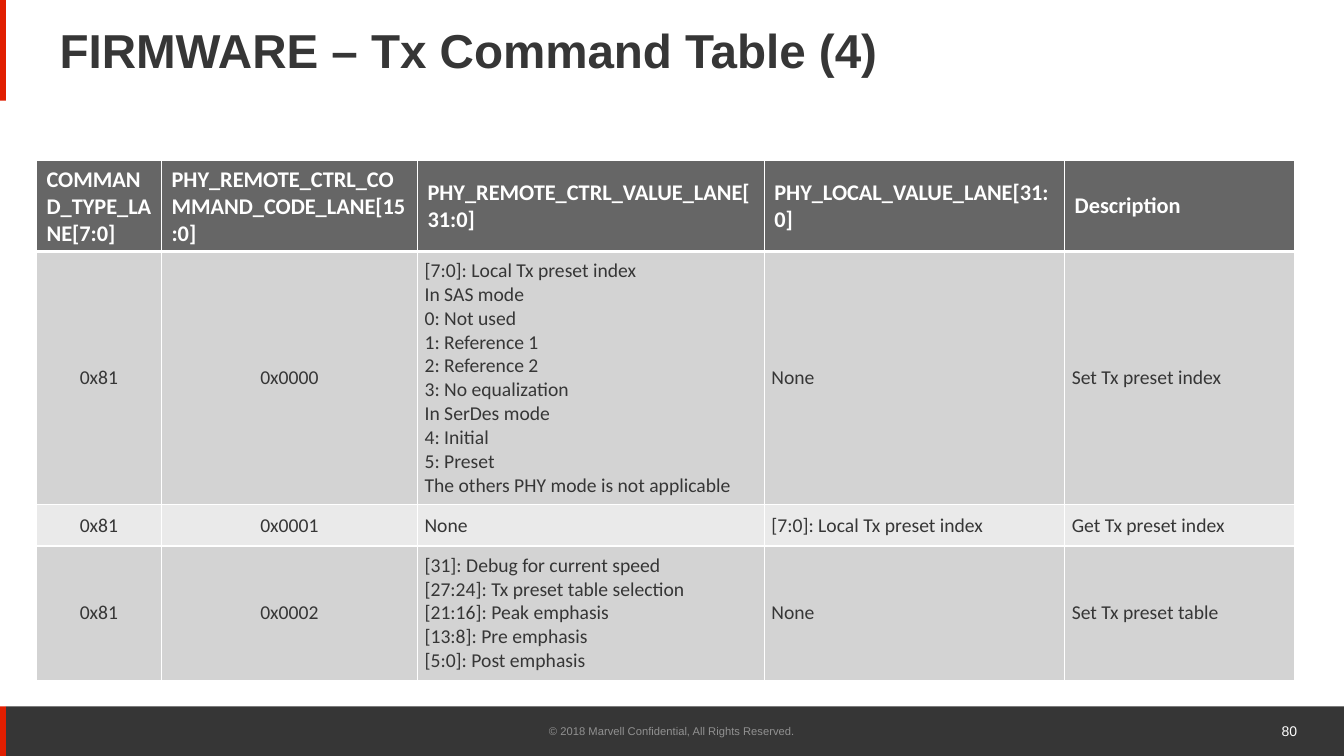
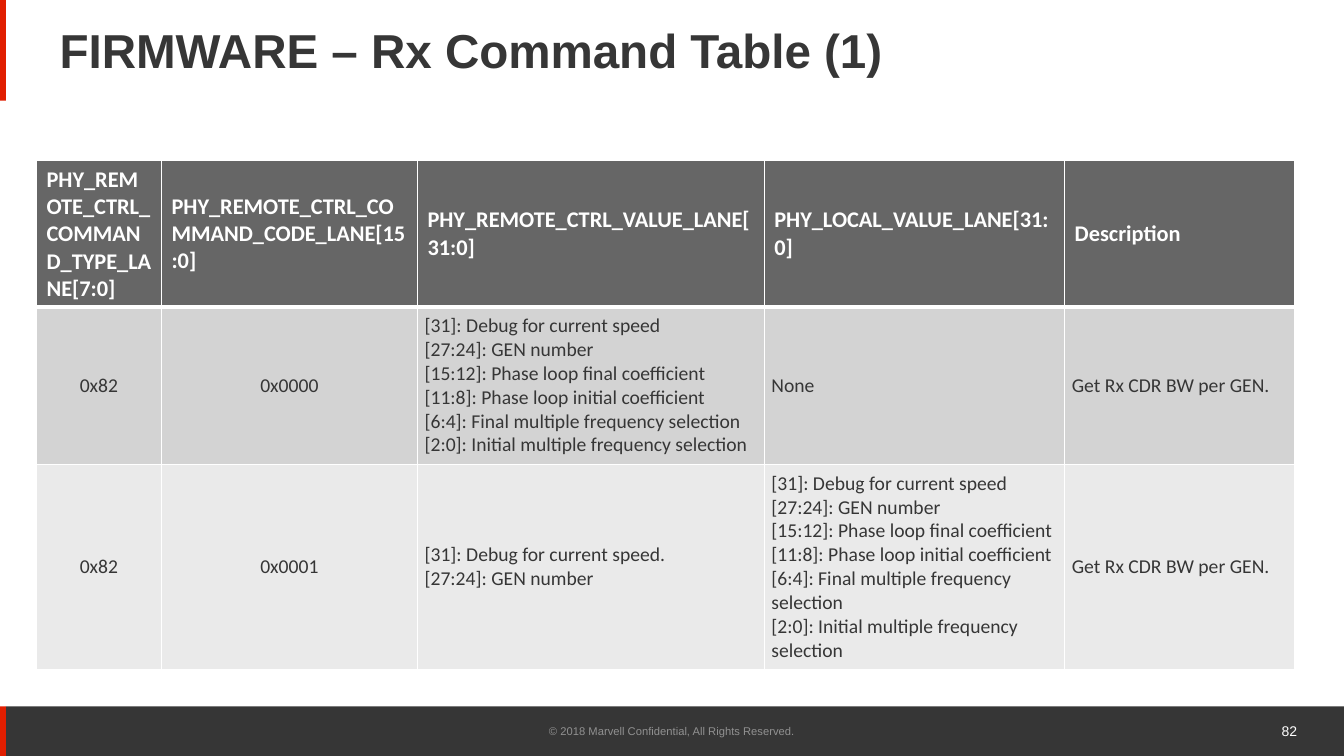
from lxml.etree import SubElement
from pptx import Presentation
from pptx.dml.color import RGBColor
from pptx.enum.shapes import MSO_SHAPE
from pptx.enum.text import MSO_ANCHOR, MSO_AUTO_SIZE, PP_ALIGN
from pptx.oxml.ns import qn
from pptx.util import Cm, Pt

# Shared colours and fonts
DARK = RGBColor(0x36, 0x36, 0x36)
RED = RGBColor(0xE1, 0x1E, 0x00)
GREY = RGBColor(0x91, 0x91, 0x91)
HEADER_FILL = RGBColor(0x66, 0x66, 0x66)
ROW_FILLS = (RGBColor(0xD3, 0xD3, 0xD3), RGBColor(0xEA, 0xEA, 0xEA))
WHITE = RGBColor(0xFF, 0xFF, 0xFF)
TITLE_FONT = "Arial"
TABLE_FONT = "Calibri"

# Shared layout
SLIDE_WIDTH, SLIDE_HEIGHT = Cm(33.87), Cm(19.05)
ACCENT_WIDTH = Cm(0.15)
FOOTER_HEIGHT = Cm(1.25)
TITLE_BOX = (Cm(1.25), Cm(0.43), Cm(29.2), Cm(1.83))
TABLE_LEFT, TABLE_TOP = Cm(0.92), Cm(4.05)
COLUMN_WIDTHS = [Cm(width) for width in (3.15, 6.45, 8.74, 7.57, 5.79)]
CENTRED_COLUMNS = 2
BODY_MARGIN = Cm(0.18)

COPYRIGHT = "© 2018 Marvell Confidential, All Rights Reserved."
COMMON_HEADERS = [
    "PHY_REMOTE_CTRL_COMMAND_CODE_LANE[15:0]",
    "PHY_REMOTE_CTRL_VALUE_LANE[31:0]",
    "PHY_LOCAL_VALUE_LANE[31:0]",
    "Description",
]

# Slide contents
TX_PRESETS = """[7:0]: Local Tx preset index
In SAS mode
0: Not used
1: Reference 1
2: Reference 2
3: No equalization
In SerDes mode
4: Initial
5: Preset
The others PHY mode is not applicable"""
TX_EMPHASIS = """[31]: Debug for current speed
[27:24]: Tx preset table selection
[21:16]: Peak emphasis
[13:8]: Pre emphasis
[5:0]: Post emphasis"""
RX_COEFFICIENTS = """[31]: Debug for current speed
[27:24]: GEN number
[15:12]: Phase loop final coefficient
[11:8]: Phase loop initial coefficient
[6:4]: Final multiple frequency selection
[2:0]: Initial multiple frequency selection"""
RX_REQUEST = """[31]: Debug for current speed.
[27:24]: GEN number"""

SLIDES = [
    {
        "title": "FIRMWARE – Tx Command Table (4)",
        "number": 80,
        "row_heights": (2.29, 6.38, 1.04, 3.38),
        "rows": [
            ["COMMAND_TYPE_LANE[7:0]", *COMMON_HEADERS],
            ["0x81", "0x0000", TX_PRESETS, "None", "Set Tx preset index"],
            ["0x81", "0x0001", "None", "[7:0]: Local Tx preset index", "Get Tx preset index"],
            ["0x81", "0x0002", TX_EMPHASIS, "None", "Set Tx preset table"],
        ],
    },
    {
        "title": "FIRMWARE – Rx Command Table (1)",
        "number": 82,
        "row_heights": (3.68, 3.97, 5.17),
        "rows": [
            ["PHY_REMOTE_CTRL_COMMAND_TYPE_LANE[7:0]", *COMMON_HEADERS],
            ["0x82", "0x0000", RX_COEFFICIENTS, "None", "Get Rx CDR BW per GEN."],
            ["0x82", "0x0001", RX_REQUEST, RX_COEFFICIENTS, "Get Rx CDR BW per GEN."],
        ],
    },
]


def write_text(paragraph, text, font_name, size, color, bold=False, align=PP_ALIGN.LEFT):
    """Fill one paragraph; newlines become line breaks."""
    paragraph.text = text
    paragraph.alignment = align
    for run in paragraph.runs:
        run.font.name = font_name
        run.font.size = Pt(size)
        run.font.color.rgb = color
        run.font.bold = bold


def add_band(slide, left, top, width, height, color):
    band = slide.shapes.add_shape(MSO_SHAPE.RECTANGLE, left, top, width, height)
    band.shadow.inherit = False
    band.fill.solid()
    band.fill.fore_color.rgb = color
    band.line.fill.background()


def add_footer_text(slide, left, width, top, text, size, color, align):
    box = slide.shapes.add_textbox(left, top + Cm(0.1), width, Cm(1.02))
    text_frame = box.text_frame
    text_frame.word_wrap = True
    text_frame.vertical_anchor = MSO_ANCHOR.MIDDLE
    write_text(text_frame.paragraphs[0], text, TITLE_FONT, size, color, align=align)


def add_frame(slide, number):
    """Accent bars, footer band, copyright and slide number."""
    top = SLIDE_HEIGHT - FOOTER_HEIGHT
    add_band(slide, ACCENT_WIDTH, top, SLIDE_WIDTH - ACCENT_WIDTH, FOOTER_HEIGHT, DARK)
    add_band(slide, 0, top, ACCENT_WIDTH, FOOTER_HEIGHT, RED)
    add_band(slide, 0, 0, ACCENT_WIDTH, Cm(2.54), RED)
    add_footer_text(slide, Cm(11.22), Cm(11.43), top, COPYRIGHT, 8, GREY, PP_ALIGN.CENTER)
    add_footer_text(slide, Cm(25.93), Cm(7.01), top, str(number), 10, WHITE, PP_ALIGN.RIGHT)


def set_title(slide, text, box):
    title = slide.shapes.title
    title.left, title.top, title.width, title.height = box
    text_frame = title.text_frame
    text_frame.auto_size = MSO_AUTO_SIZE.NONE
    text_frame.vertical_anchor = MSO_ANCHOR.MIDDLE
    paragraph = text_frame.paragraphs[0]
    write_text(paragraph, text, TITLE_FONT, 34, DARK, bold=True)
    paragraph.line_spacing = 0.9


def set_borders(cell, top=1, bottom=1):
    """White cell borders, widths in points."""
    properties = cell._tc.get_or_add_tcPr()
    for side, width in (("L", 1), ("R", 1), ("T", top), ("B", bottom)):
        line = SubElement(properties, qn(f"a:ln{side}"), w=str(Pt(width)))
        fill = SubElement(line, qn("a:solidFill"))
        SubElement(fill, qn("a:srgbClr"), val=str(WHITE))


def format_cell(cell, text, row, column):
    is_header = row == 0
    # Borders precede the fill in the cell properties
    set_borders(cell, top=3 if row == 1 else 1, bottom=3 if is_header else 1)
    cell.fill.solid()
    cell.vertical_anchor = MSO_ANCHOR.MIDDLE
    paragraph = cell.text_frame.paragraphs[0]
    if is_header:
        cell.fill.fore_color.rgb = HEADER_FILL
        write_text(paragraph, text, TABLE_FONT, 16, WHITE, bold=True)
    else:
        cell.fill.fore_color.rgb = ROW_FILLS[(row - 1) % 2]
        cell.margin_left = cell.margin_right = BODY_MARGIN
        cell.margin_top = cell.margin_bottom = BODY_MARGIN
        align = PP_ALIGN.CENTER if column < CENTRED_COLUMNS else PP_ALIGN.LEFT
        write_text(paragraph, text, TABLE_FONT, 14, DARK, align=align)


def add_command_table(slide, left, top, rows, row_heights):
    heights = [Cm(height) for height in row_heights]
    table = slide.shapes.add_table(
        len(rows), len(COLUMN_WIDTHS), left, top, sum(COLUMN_WIDTHS), sum(heights)
    ).table
    for column, width in zip(table.columns, COLUMN_WIDTHS):
        column.width = width
    for row_index, (texts, height) in enumerate(zip(rows, heights)):
        table.rows[row_index].height = height
        for column_index, text in enumerate(texts):
            format_cell(table.cell(row_index, column_index), text, row_index, column_index)


def add_command_slide(presentation, content):
    slide = presentation.slides.add_slide(presentation.slide_layouts[5])
    add_frame(slide, content["number"])
    set_title(slide, content["title"], TITLE_BOX)
    add_command_table(slide, TABLE_LEFT, TABLE_TOP, content["rows"], content["row_heights"])


def main():
    presentation = Presentation()
    presentation.slide_width = SLIDE_WIDTH
    presentation.slide_height = SLIDE_HEIGHT
    for content in SLIDES:
        add_command_slide(presentation, content)
    presentation.save("out.pptx")


if __name__ == "__main__":
    main()
